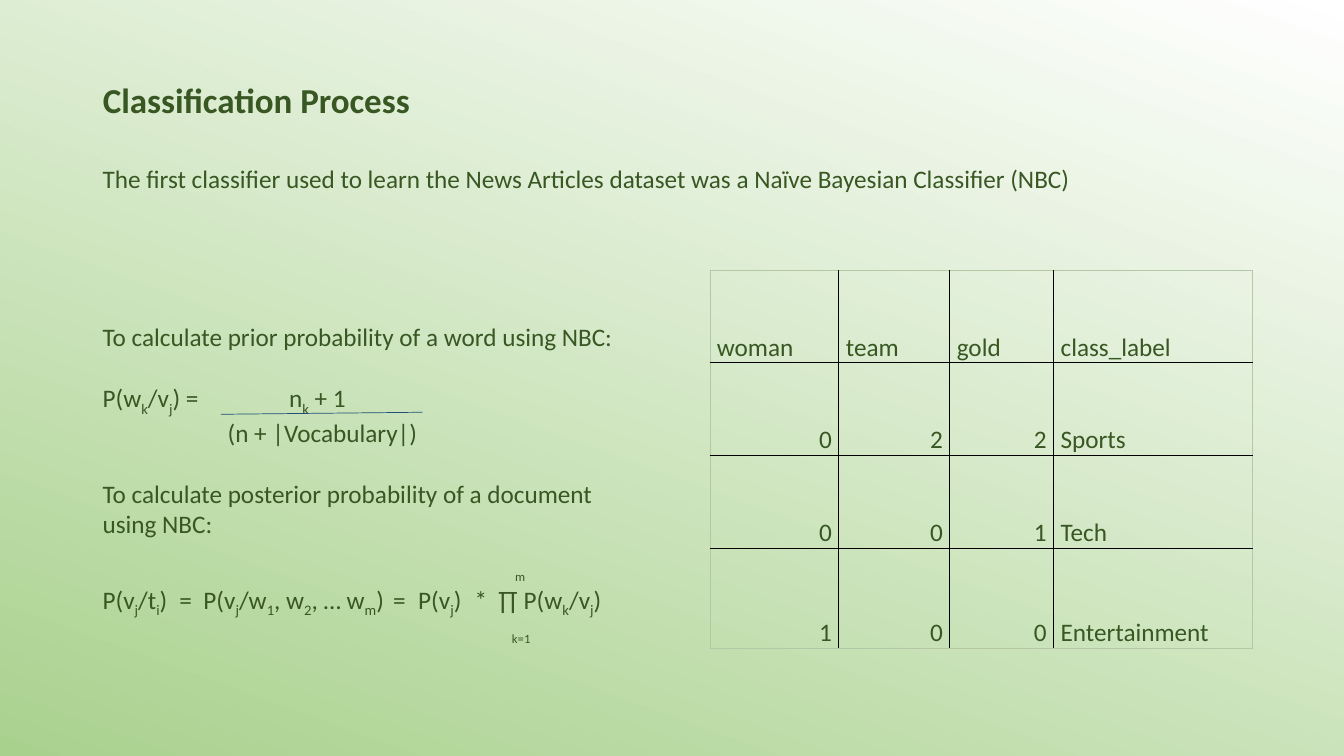
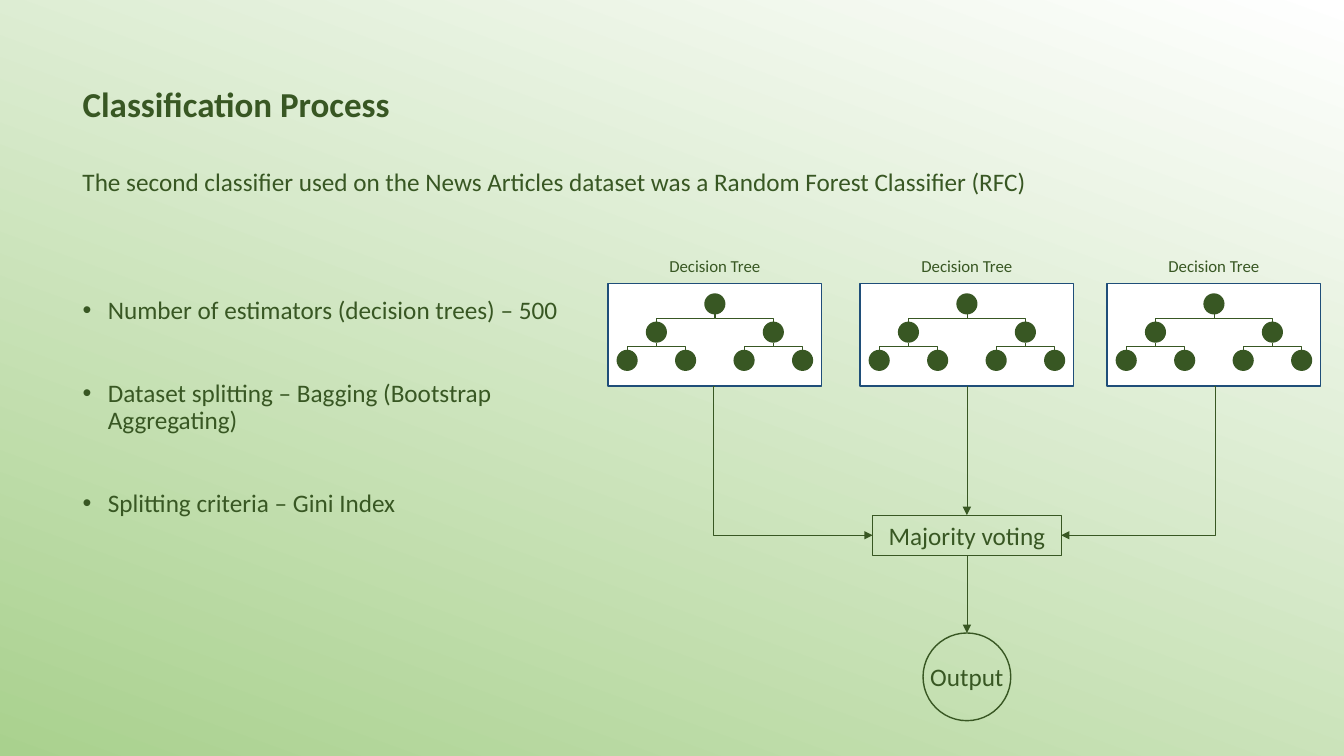
from lxml import etree
from pptx import Presentation
from pptx import util as u
from pptx.dml.color import RGBColor
from pptx.enum import shapes, text
from pptx.oxml.ns import qn

COLORS = {
    "ink": "385723",
    "accent": "1F4E79",
    "paper": "FFFFFF",
    "leaf": "A9D18E",
    "grid": "000000",
    "frame": "B4C8A6",
}
FONT = "Calibri"
BODY_SIZE = 18


def rgb(name):
    return RGBColor.from_string(COLORS[name])


def inches(*lengths):
    return [u.Inches(length) for length in lengths]


class Deck:
    def __init__(self):
        self.prs = Presentation()
        self.prs.slide_width, self.prs.slide_height = inches(13.33, 7.5)
        self.slide = None
        backdrop = self.prs.slide_master.background.fill
        backdrop.gradient()
        backdrop.gradient_angle = 250
        for stop, name in zip(backdrop.gradient_stops, ("paper", "leaf")):
            stop.color.rgb = rgb(name)

    def start(self, layout, title, intro, left, title_top, intro_top):
        self.slide = self.prs.slides.add_slide(self.prs.slide_layouts[layout])
        heading = self.slide.shapes.title
        self.place(heading, left, title_top, 11.5, 0.36)
        frame = heading.text_frame
        frame.auto_size = text.MSO_AUTO_SIZE.NONE
        frame.vertical_anchor = text.MSO_ANCHOR.MIDDLE
        self.set_text(frame.paragraphs[0], title, size=25, bold=True, spacing=0.9)
        self.text_box(left, intro_top, 11.5, 0.4, [(intro, {"align": text.PP_ALIGN.JUSTIFY})])

    def place(self, shape, *box):
        shape.left, shape.top, shape.width, shape.height = inches(*box)

    def set_text(self, paragraph, content, size=BODY_SIZE, bold=False, before=0,
                 align=text.PP_ALIGN.LEFT, spacing=1.0, tabs=(), bullet=False):
        for index, part in enumerate(content.split("~")):
            if part:
                run = paragraph.add_run()
                run.text = part
                if index % 2:
                    run._r.get_or_add_rPr().set("baseline", "-25000")
        props = paragraph._p.get_or_add_pPr()
        if bullet:
            props.set("marL", str(u.Inches(0.25)))
            props.set("indent", str(-u.Inches(0.25)))
            etree.SubElement(props, qn("a:buChar"), char="•")
        if tabs:
            stops = etree.SubElement(props, qn("a:tabLst"))
            for stop in tabs:
                etree.SubElement(stops, qn("a:tab"), pos=str(u.Inches(stop)), algn="l")
        paragraph.alignment = align
        paragraph.line_spacing = spacing
        paragraph.space_before = u.Pt(before)
        paragraph.font.name = FONT
        paragraph.font.size = u.Pt(size)
        paragraph.font.bold = bold
        paragraph.font.color.rgb = rgb("ink")

    def fill_frame(self, frame, lines):
        frame.word_wrap = True
        for index, (content, style) in enumerate(lines):
            paragraph = frame.add_paragraph() if index else frame.paragraphs[0]
            self.set_text(paragraph, content, **style)

    def text_box(self, left, top, width, height, lines):
        box = self.slide.shapes.add_textbox(*inches(left, top, width, height))
        self.fill_frame(box.text_frame, lines)

    def bullets(self, left, top, width, height, items, gap):
        body = self.slide.placeholders[1]
        self.place(body, left, top, width, height)
        body.text_frame.auto_size = text.MSO_AUTO_SIZE.NONE
        self.fill_frame(body.text_frame, [
            (item, {"bullet": True, "spacing": 0.9, "before": gap if index else 0})
            for index, item in enumerate(items)])

    def paint(self, shape, fill=None, line=None, weight=1):
        shape.shadow.inherit = False
        if fill:
            shape.fill.solid()
            shape.fill.fore_color.rgb = rgb(fill)
        else:
            shape.fill.background()
        if line:
            shape.line.color.rgb = rgb(line)
            shape.line.width = u.Pt(weight)
        else:
            shape.line.fill.background()

    def shape(self, kind, left, top, width, height, label=None, **look):
        shape = self.slide.shapes.add_shape(kind, *inches(left, top, width, height))
        self.paint(shape, **look)
        if label:
            frame = shape.text_frame
            frame.margin_left = frame.margin_right = 0
            frame.word_wrap = False
            frame.vertical_anchor = text.MSO_ANCHOR.MIDDLE
            self.set_text(frame.paragraphs[0], label, align=text.PP_ALIGN.CENTER)
        return shape

    def connector(self, begin, end, color="ink", arrow=True, bend=None, joins=None):
        kind = shapes.MSO_CONNECTOR.STRAIGHT if bend is None else shapes.MSO_CONNECTOR.ELBOW
        link = self.slide.shapes.add_connector(kind, *inches(*begin, *end))
        if joins:
            link.begin_connect(joins[0], 2)
            link.end_connect(joins[1], 0)
        link.line.color.rgb = rgb(color)
        link.line.width = u.Pt(0.5)
        props = link._element.spPr
        if bend is not None:
            adjust = props.find(qn("a:prstGeom")).get_or_add_avLst()
            etree.SubElement(adjust, qn("a:gd"), name="adj1", fmla=f"val {bend}")
        if arrow:
            etree.SubElement(props.find(qn("a:ln")), qn("a:tailEnd"), type="triangle")
        etree.SubElement(props, qn("a:effectLst"))

    def branch(self, parent, child, radius):
        (x1, y1), (x2, y2) = parent, child
        middle = (y1 + y2) / 2
        points = [(x1, middle), (x2, middle), (x2, y2 - radius)]
        builder = self.slide.shapes.build_freeform(*inches(x1, y1 + radius))
        builder.add_line_segments([inches(*point) for point in points], close=False)
        self.paint(builder.convert_to_shape(), line="ink", weight=0.5)

    def tree(self, left, top, width, height):
        panel = self.shape(shapes.MSO_SHAPE.RECTANGLE, left, top, width, height,
                           fill="paper", line="accent")
        radius, level_gap = 0.105, 0.28
        levels = [[(left + width / 2, top + 0.205)]]
        for spread in (0.58, 0.29):
            children = []
            for x, y in levels[-1]:
                for side in (-spread, spread):
                    children.append((x + side, y + level_gap))
                    self.branch((x, y), children[-1], radius)
            levels.append(children)
        for x, y in sum(levels, []):
            self.shape(shapes.MSO_SHAPE.OVAL, x - radius, y - radius,
                       2 * radius, 2 * radius, fill="ink")
        self.text_box(left, top - 0.32, width, 0.3,
                      [("Decision Tree", {"size": 12, "align": text.PP_ALIGN.CENTER})])
        return panel

    def table(self, left, top, widths, heights, rows):
        box = inches(left, top, sum(widths), sum(heights))
        grid = self.slide.shapes.add_table(len(rows), len(widths), *box).table
        grid.first_row = grid.horz_banding = False
        for column, width in zip(grid.columns, widths):
            column.width = u.Inches(width)
        for r, (values, height) in enumerate(zip(rows, heights)):
            grid.rows[r].height = u.Inches(height)
            for c, value in enumerate(values):
                cell = grid.cell(r, c)
                cell.vertical_anchor = text.MSO_ANCHOR.BOTTOM
                cell.margin_left = cell.margin_right = u.Inches(0.07)
                cell.margin_top = cell.margin_bottom = 0
                outer = {"L": c == 0, "R": c == len(widths) - 1,
                         "T": r == 0, "B": r == len(rows) - 1}
                for side, is_outer in outer.items():
                    self.border(cell, side, *(("frame", 0.5) if is_outer else ("grid", 1)))
                cell.fill.background()
                align = text.PP_ALIGN.RIGHT if value.isdigit() else text.PP_ALIGN.LEFT
                self.set_text(cell.text_frame.paragraphs[0], value, align=align)

    def border(self, cell, side, color, weight):
        props = cell._tc.get_or_add_tcPr()
        line = etree.SubElement(props, qn(f"a:ln{side}"), w=str(u.Pt(weight)))
        fill = etree.SubElement(line, qn("a:solidFill"))
        etree.SubElement(fill, qn("a:srgbClr"), val=COLORS[color])


def bayes_slide(deck):
    deck.start(5, "Classification Process",
               "The first classifier used to learn the News Articles dataset was a "
               "Naïve Bayesian Classifier (NBC)", 0.92, 0.83, 1.57)
    gap = 22
    deck.text_box(0.92, 3.14, 5.53, 3.28, [
        ("To calculate prior probability of a word using NBC:", {}),
        ("P(w~k~/v~j~) =\tn~k~ + 1", {"before": gap, "tabs": [1.85]}),
        ("\t(n + |Vocabulary|)", {"tabs": [1.24]}),
        ("To calculate posterior probability of a document using NBC:", {"before": gap}),
        ("\tm", {"size": 9, "before": gap, "tabs": [4.09]}),
        ("P(v~j~/t~i~)\t=\tP(v~j~/w~1~, w~2~, … w~m~)\t=\tP(v~j~)\t*\t∏ P(w~k~/v~j~)",
         {"tabs": [0.76, 1, 2.88, 3.13, 3.69, 3.92]}),
        ("\tk=1", {"size": 9, "before": 9, "tabs": [4.06]}),
    ])
    deck.connector((2.19, 4.11), (4.19, 4.09), color="accent", arrow=False)
    deck.table(7.04, 2.68, [1.28, 1.1, 1.03, 1.97], [0.92, 0.92, 0.92, 0.99], [
        ["woman", "team", "gold", "class_label"],
        ["0", "2", "2", "Sports"],
        ["0", "0", "1", "Tech"],
        ["1", "0", "0", "Entertainment"],
    ])


def forest_slide(deck):
    deck.start(1, "Classification Process",
               "The second classifier used on the News Articles dataset was a "
               "Random Forest Classifier (RFC)", 0.72, 0.87, 1.6)
    deck.bullets(0.72, 2.9, 4.97, 4.35, [
        "Number of estimators (decision trees) – 500",
        "Dataset splitting – Bagging (Bootstrap Aggregating)",
        "Splitting criteria – Gini Index",
    ], gap=40)
    tree_lefts, tree_top, tree_width, tree_height = (6.03, 8.53, 10.98), 2.81, 2.12, 1.02
    trees = [deck.tree(left, tree_top, tree_width, tree_height) for left in tree_lefts]
    first, center, last = [left + tree_width / 2 for left in tree_lefts]
    tree_bottom = tree_top + tree_height
    vote_width, vote_top, vote_height = 1.87, 5.11, 0.4
    voting = deck.shape(shapes.MSO_SHAPE.RECTANGLE, center - vote_width / 2, vote_top,
                        vote_width, vote_height, "Majority voting", line="ink", weight=0.75)
    output_top, output_size = 6.28, 0.87
    output = deck.shape(shapes.MSO_SHAPE.OVAL, center - output_size / 2, output_top,
                        output_size, output_size, "Output", line="ink")
    deck.connector((center, tree_bottom), (center, vote_top), joins=(trees[1], voting))
    deck.connector((center, vote_top + vote_height), (center, output_top),
                   joins=(voting, output))
    for x, side in ((first, -1), (last, 1)):
        deck.connector((x, tree_bottom),
                       (center + side * vote_width / 2, vote_top + vote_height / 2), bend=-1000)


def main():
    deck = Deck()
    bayes_slide(deck)
    forest_slide(deck)
    deck.prs.save("out.pptx")


if __name__ == "__main__":
    main()
